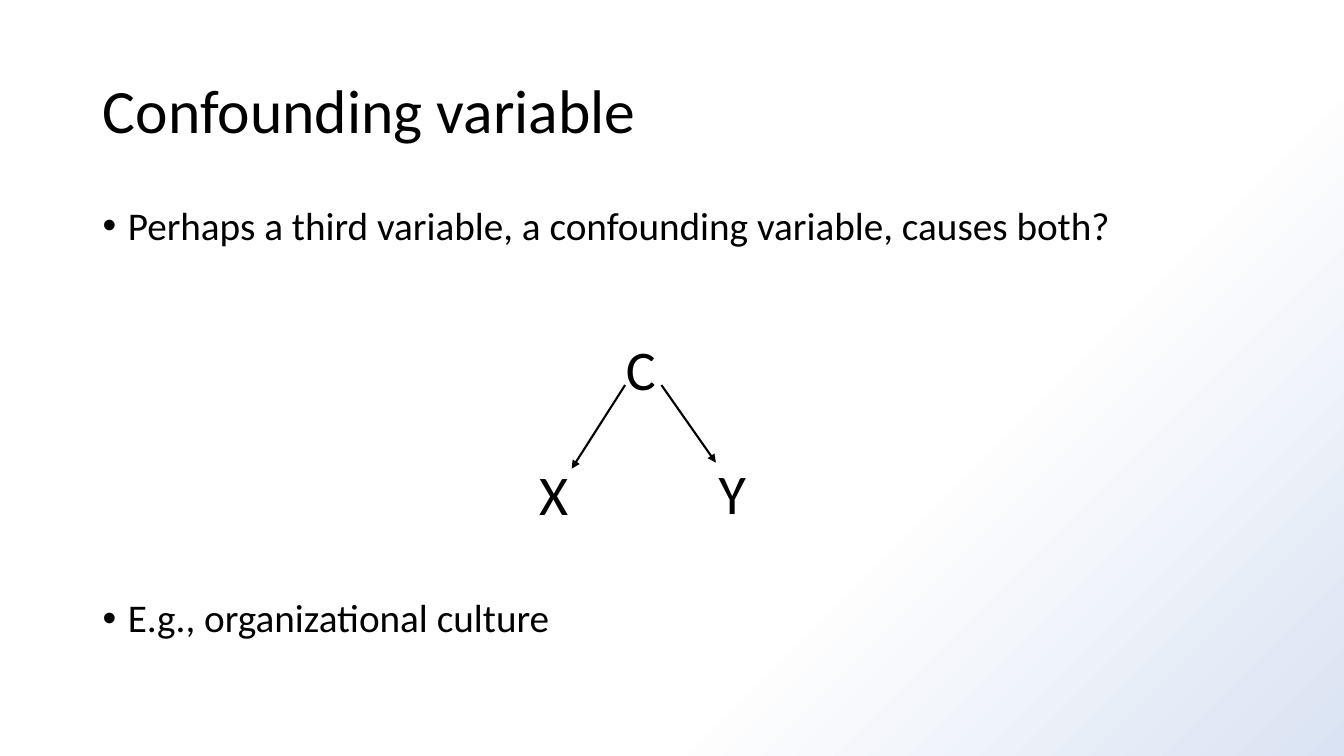
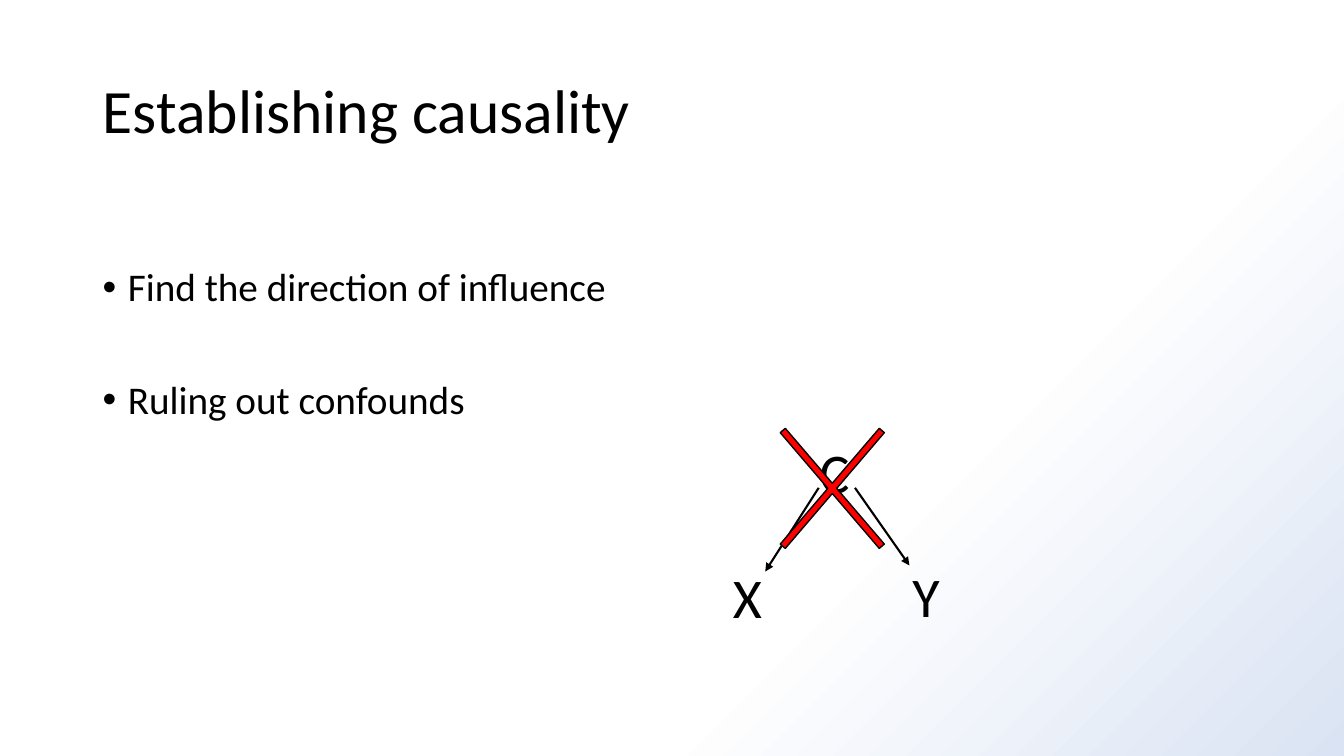
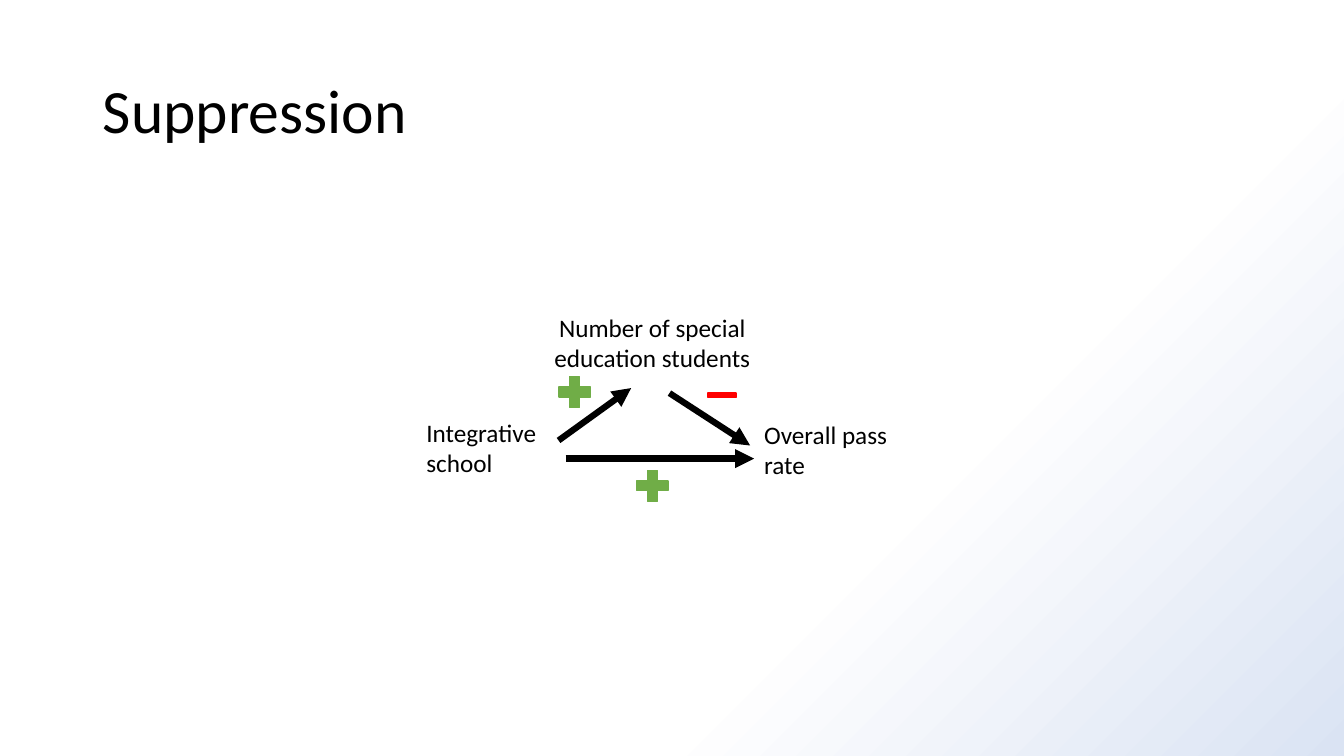
"""Build three slides on confounding, causality and suppression."""
from typing import NamedTuple

from lxml import etree
from pptx import Presentation
from pptx import util as u
from pptx.dml.color import RGBColor
from pptx.enum import shapes, text
from pptx.oxml.ns import qn

FONT = "Calibri"
BLACK, WHITE, PALE_BLUE = "000000", "FFFFFF", "DAE3F3"
GREEN, RED = "70AD47", "FF0000"
LEFT, CENTER = text.PP_ALIGN.LEFT, text.PP_ALIGN.CENTER
TITLE_ONLY = 5


class Label(NamedTuple):
    """A text label and its place in inches."""
    words: str
    left: float
    top: float
    width: float
    height: float = 0.71
    size: int = 18
    alignment: text.PP_ALIGN = LEFT


class Arrow(NamedTuple):
    """An arrow from one point to another in inches."""
    start_x: float
    start_y: float
    end_x: float
    end_y: float


class Sign(NamedTuple):
    """A mathematical sign in one colour."""
    kind: shapes.MSO_SHAPE
    left: float
    top: float
    width: float
    height: float
    fill: str
    outline: str


CAUSE_LABELS = [
    Label(words, left, top, 0.7, 0.77, 40)
    for words, left, top in (("C", 6.11, 3.27), ("X", 5.25, 4.51), ("Y", 7.03, 4.5))
]
CAUSE_ARROWS = [Arrow(6.2, 3.82, 5.67, 4.65), Arrow(6.56, 3.82, 7.1, 4.59)]
SUPPRESSION_LABELS = [
    Label("Integrative school", 4.13, 4.09, 1.38),
    Label("Overall pass rate", 7.48, 4.11, 1.48),
    Label("Number of special education students", 5.39, 3.05, 2.16, alignment=CENTER),
]
SUPPRESSION_ARROWS = [
    Arrow(5.54, 4.37, 6.26, 3.85),
    Arrow(5.61, 4.55, 7.48, 4.55),
    Arrow(6.64, 3.9, 7.44, 4.42),
]
SUPPRESSION_SIGNS = [
    Sign(shapes.MSO_SHAPE.MATH_PLUS, 6.26, 4.61, 0.42, 0.42, GREEN, GREEN),
    Sign(shapes.MSO_SHAPE.MATH_PLUS, 5.49, 3.68, 0.42, 0.42, GREEN, GREEN),
    Sign(shapes.MSO_SHAPE.MATH_MINUS, 6.97, 3.83, 0.38, 0.18, RED, RED),
]
CROSS = Sign(shapes.MSO_SHAPE.MATH_MULTIPLY, 7.31, 3.74, 1.89, 2.21, RED, BLACK)


def color(value: str) -> RGBColor:
    """Turn a hex string into a colour."""
    return RGBColor.from_string(value)


def add_run(paragraph, words: str, size: int) -> None:
    """Add one run in the shared font."""
    run = paragraph.add_run()
    run.text = words
    run.font.name = FONT
    run.font.size = u.Pt(size)
    run.font.color.rgb = color(BLACK)


def set_background(presentation) -> None:
    """Give the master its diagonal gradient."""
    fill = presentation.slide_master.background.fill
    fill.gradient()
    fill.gradient_angle = 315
    for stop, position, value in zip(fill.gradient_stops, (0.67, 1), (WHITE, PALE_BLUE)):
        stop.position = position
        stop.color.rgb = color(value)


def add_slide(presentation, title: str):
    """Add a slide with the shared title style."""
    slide = presentation.slides.add_slide(presentation.slide_layouts[TITLE_ONLY])
    shape = slide.shapes.title
    shape.left, shape.top = u.Inches(0.92), u.Inches(0.4)
    shape.width, shape.height = u.Inches(11.5), u.Inches(1.45)
    frame = shape.text_frame
    frame.auto_size = text.MSO_AUTO_SIZE.NONE
    frame.vertical_anchor = text.MSO_ANCHOR.MIDDLE
    paragraph = frame.paragraphs[0]
    paragraph.alignment = LEFT
    paragraph.line_spacing = 0.9
    add_run(paragraph, title, 44)
    return slide


def add_frame(slide, left: float, top: float, width: float, height: float):
    """Add a wrapping text box and return its frame."""
    box = slide.shapes.add_textbox(*map(u.Inches, (left, top, width, height)))
    box.text_frame.word_wrap = True
    return box.text_frame


def add_bullets(slide, top: float, items: list[str], gap: float) -> None:
    """Add a bulleted list with a gap in points between items."""
    frame = add_frame(slide, 0.92, top, 11.5, 6.76 - top)
    for index, words in enumerate(items):
        paragraph = frame.add_paragraph() if index else frame.paragraphs[0]
        properties = paragraph._p.get_or_add_pPr()
        properties.set("marL", str(u.Inches(0.25)))
        properties.set("indent", str(-u.Inches(0.25)))
        etree.SubElement(properties, qn("a:buFont"), typeface="Arial")
        etree.SubElement(properties, qn("a:buChar"), char="•")
        paragraph.line_spacing = 0.9
        if index:
            paragraph.space_before = u.Pt(gap)
        add_run(paragraph, words, 28)


def add_label(slide, label: Label) -> None:
    """Draw a text label."""
    frame = add_frame(slide, label.left, label.top, label.width, label.height)
    paragraph = frame.paragraphs[0]
    paragraph.alignment = label.alignment
    add_run(paragraph, label.words, label.size)


def add_arrow(slide, arrow: Arrow, weight: float) -> None:
    """Draw a black arrow with a triangular head."""
    connector = slide.shapes.add_connector(
        shapes.MSO_CONNECTOR.STRAIGHT, *map(u.Inches, arrow))
    connector.line.width = u.Pt(weight)
    connector.line.color.rgb = color(BLACK)
    properties = connector.element.spPr
    etree.SubElement(properties.find(qn("a:ln")), qn("a:tailEnd"), type="triangle")
    etree.SubElement(properties, qn("a:effectLst"))


def add_sign(slide, sign: Sign):
    """Draw a mathematical sign."""
    shape = slide.shapes.add_shape(
        sign.kind, *map(u.Inches, (sign.left, sign.top, sign.width, sign.height)))
    shape.shadow.inherit = False
    shape.fill.solid()
    shape.fill.fore_color.rgb = color(sign.fill)
    shape.line.color.rgb = color(sign.outline)
    shape.line.width = u.Pt(1)
    return shape


def add_cause_diagram(slide, right: float = 0, down: float = 0) -> None:
    """Draw C causing X and Y, shifted by the given inches."""
    for label in CAUSE_LABELS:
        add_label(slide, label._replace(left=label.left + right, top=label.top + down))
    for start_x, start_y, end_x, end_y in CAUSE_ARROWS:
        shifted = Arrow(start_x + right, start_y + down, end_x + right, end_y + down)
        add_arrow(slide, shifted, 1.5)


def add_confounding(presentation) -> None:
    """Add the slide on confounding variables."""
    slide = add_slide(presentation, "Confounding variable")
    add_bullets(slide, 2, [
        "Perhaps a third variable, a confounding variable, causes both?",
        "E.g., organizational culture",
    ], 250)
    add_cause_diagram(slide)


def add_causality(presentation) -> None:
    """Add the slide on establishing causality."""
    slide = add_slide(presentation, "Establishing causality")
    add_bullets(slide, 2.61, ["Find the direction of influence", "Ruling out confounds"], 50)
    add_cause_diagram(slide, 1.92, 1.02)
    add_sign(slide, CROSS).adjustments[0] = 0.035


def add_suppression(presentation) -> None:
    """Add the slide on suppression."""
    slide = add_slide(presentation, "Suppression")
    for arrow in SUPPRESSION_ARROWS:
        add_arrow(slide, arrow, 4.5)
    for sign in SUPPRESSION_SIGNS:
        add_sign(slide, sign)
    for label in SUPPRESSION_LABELS:
        add_label(slide, label)


def main() -> None:
    """Build and save the presentation."""
    presentation = Presentation()
    presentation.slide_width = u.Inches(13.33)
    presentation.slide_height = u.Inches(7.5)
    set_background(presentation)
    add_confounding(presentation)
    add_causality(presentation)
    add_suppression(presentation)
    presentation.save("out.pptx")


if __name__ == "__main__":
    main()
